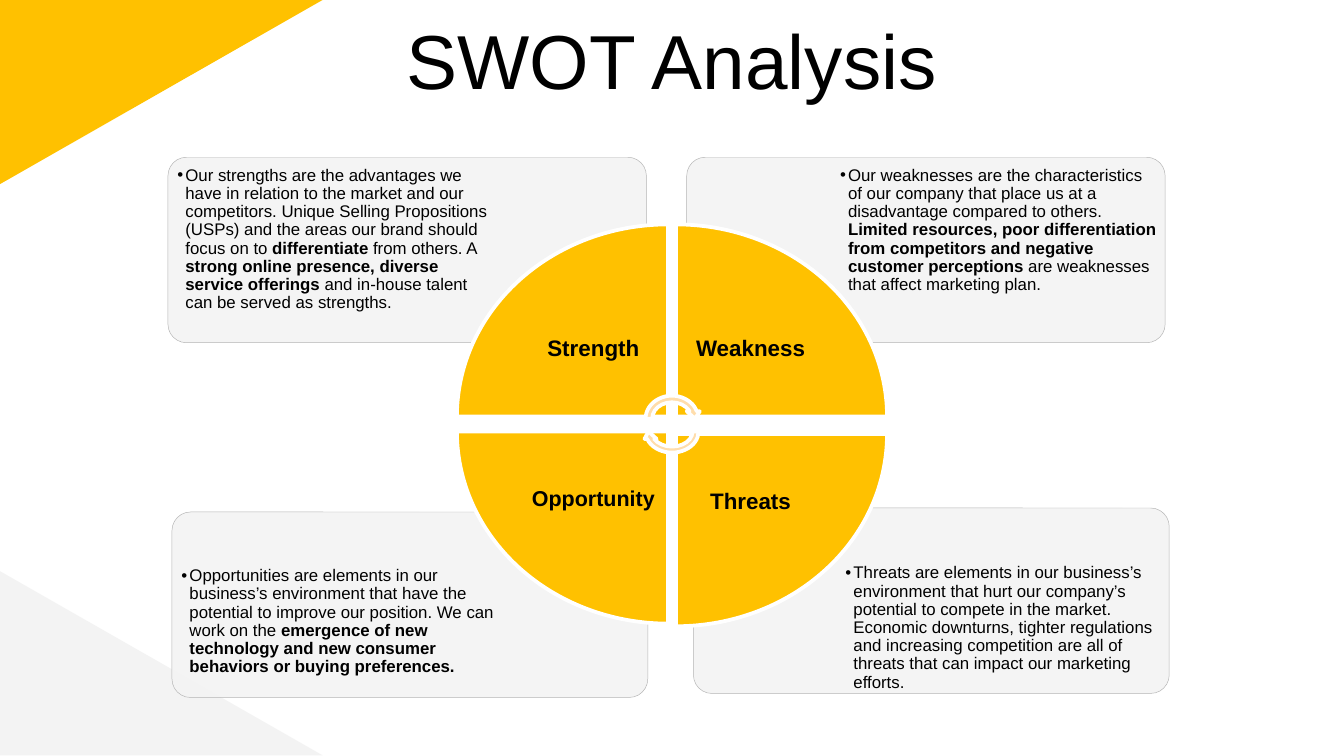
import pptx
import pptx.util
import pptx.dml.color
import pptx.enum.shapes
import pptx.enum.text
import pptx.oxml.ns
from lxml import etree

Inches, Pt = pptx.util.Inches, pptx.util.Pt
RGBColor = pptx.dml.color.RGBColor
SHAPE = pptx.enum.shapes.MSO_SHAPE
ALIGN = pptx.enum.text.PP_ALIGN
ANCHOR = pptx.enum.text.MSO_ANCHOR
qn = pptx.oxml.ns.qn

YELLOW = RGBColor(0xFF, 0xC1, 0x00)
PALE_ORANGE = RGBColor(0xFF, 0xDD, 0xAB)
LIGHT_GRAY = RGBColor(0xF3, 0xF3, 0xF3)
BORDER_GRAY = RGBColor(0xB4, 0xB4, 0xB4)
WHITE = RGBColor(0xFF, 0xFF, 0xFF)
BLACK = RGBColor(0, 0, 0)

# Content: boxes are (left, top, width, height) in inches, runs are (text, bold)
TITLE = "SWOT Analysis"
PANELS = [
    ((5.16, 3.78, 3.54, 1.38), (6.25, 4.16, 2.42, 0.97), [
        ("Threats are elements in our business’s environment that hurt our company’s "
         "potential to compete in the market. Economic downturns, tighter regulations and "
         "increasing competition are all of threats that can impact our marketing efforts.", False)]),
    ((1.28, 3.81, 3.54, 1.38), (1.31, 4.18, 2.42, 0.97), [
        ("Opportunities are elements in our business’s environment that have the potential "
         "to improve our position. We can work on the ", False),
        ("emergence of new technology and new consumer behaviors or buying preferences.", True)]),
    ((5.11, 1.17, 3.56, 1.38), (6.21, 1.2, 2.45, 0.98), [
        ("Our weaknesses are the characteristics of our company that place us at a "
         "disadvantage compared to others. ", False),
        ("Limited resources, poor differentiation from competitors and negative customer "
         "perceptions", True),
        (" are weaknesses that affect marketing plan.", False)]),
    ((1.25, 1.17, 3.56, 1.38), (1.28, 1.2, 2.43, 0.98), [
        ("Our strengths are the advantages we have in relation to the market and our "
         "competitors. Unique Selling Propositions (USPs) and the areas our brand should "
         "focus on to ", False),
        ("differentiate", True),
        (" from others. A ", False),
        ("strong online presence, diverse service offerings", True),
        (" and in-house talent can be served as strengths.", False)]),
]
# label, wedge box before rotation, rotation, label left and top, text size
WEDGES = [
    ("Strength", (3.4, 1.67, 1.57, 1.43), 0, (3.86, 2.09), 12),
    ("Weakness", (5.1, 1.6, 1.43, 1.57), 90, (5.03, 2.09), 12),
    ("Threats", (5.03, 3.23, 1.57, 1.43), 180, (5.03, 3.23), 12),
    ("Opportunity", (3.47, 3.14, 1.43, 1.57), 270, (3.86, 3.21), 11.5),
]
LABEL_SIZE = (1.11, 1.01)
CYCLE_ARROWS = [((4.78, 2.92, 0.44, 0.39), 0), ((4.78, 3.03, 0.44, 0.36), 180)]

# Widescreen slide, 16:9
prs = pptx.Presentation()
prs.slide_width = Inches(10)
prs.slide_height = prs.slide_width * 9 // 16
s = prs.slides.add_slide(prs.slide_layouts[6])


def add_shape(kind, box, fill, line=None, weight=0, rotation=0):
    sp = s.shapes.add_shape(kind, *map(Inches, box))
    sp.shadow.inherit = False
    sp.rotation = rotation
    sp.fill.solid()
    sp.fill.fore_color.rgb = fill
    if line is None:
        sp.line.fill.background()
    else:
        sp.line.color.rgb = line
        sp.line.width = Pt(weight)
    return sp


def add_text(box, runs, size, inset, align=ALIGN.CENTER, anchor=ANCHOR.TOP, spacing=0.9):
    tf = s.shapes.add_textbox(*map(Inches, box)).text_frame
    tf.word_wrap = True
    tf.vertical_anchor = anchor
    tf.margin_left = tf.margin_top = tf.margin_right = tf.margin_bottom = Inches(inset)
    p = tf.paragraphs[0]
    p.alignment = align
    p.line_spacing = spacing
    for text, bold in runs:
        r = p.add_run()
        r.text = text
        r.font.name = "Arial"
        r.font.size = Pt(size)
        r.font.bold = bold
        r.font.color.rgb = BLACK
    return p


def add_bullet(p, indent):
    pPr = p._p.get_or_add_pPr()
    pPr.set("marL", str(Inches(indent)))
    pPr.set("indent", str(-Inches(indent)))
    color = etree.SubElement(pPr, qn("a:buClr"))
    etree.SubElement(color, qn("a:srgbClr")).set("val", str(BLACK))
    etree.SubElement(pPr, qn("a:buFont")).set("typeface", "Arial")
    etree.SubElement(pPr, qn("a:buChar")).set("char", "•")


# Corner triangles
corner = add_shape(SHAPE.RIGHT_TRIANGLE, (0, 0, 2.4, 1.37), YELLOW, rotation=180)
corner._element.spPr.find(qn("a:xfrm")).set("flipH", "1")
add_shape(SHAPE.RIGHT_TRIANGLE, (0, 4.25, 2.4, 1.37), LIGHT_GRAY)

# Title
add_text((0.57, 0, 8.86, 0.63), [(TITLE, False)], 41, 0.1, spacing=1.0)

# Description panels
for panel_box, text_box, runs in PANELS:
    sp = add_shape(SHAPE.ROUNDED_RECTANGLE, panel_box, LIGHT_GRAY, BORDER_GRAY, 0.25)
    sp.adjustments[0] = 0.1
    color = sp._element.spPr.find(qn("a:solidFill"))[0]
    etree.SubElement(color, qn("a:alpha")).set("val", "90000")
    add_bullet(add_text(text_box, runs, 9, 0.04, ALIGN.LEFT), 0.06)

# Quadrants of the wheel
for label, box, rotation, corner_at, size in WEDGES:
    add_shape(SHAPE.PIE_WEDGE, box, YELLOW, WHITE, 2, rotation)
    add_text(corner_at + LABEL_SIZE, [(label, True)], size, 0.09, anchor=ANCHOR.MIDDLE)

# Cycle arrows at the hub
for box, rotation in CYCLE_ARROWS:
    add_shape(SHAPE.CIRCULAR_ARROW, box, PALE_ORANGE, WHITE, 2, rotation)

prs.save("out.pptx")
